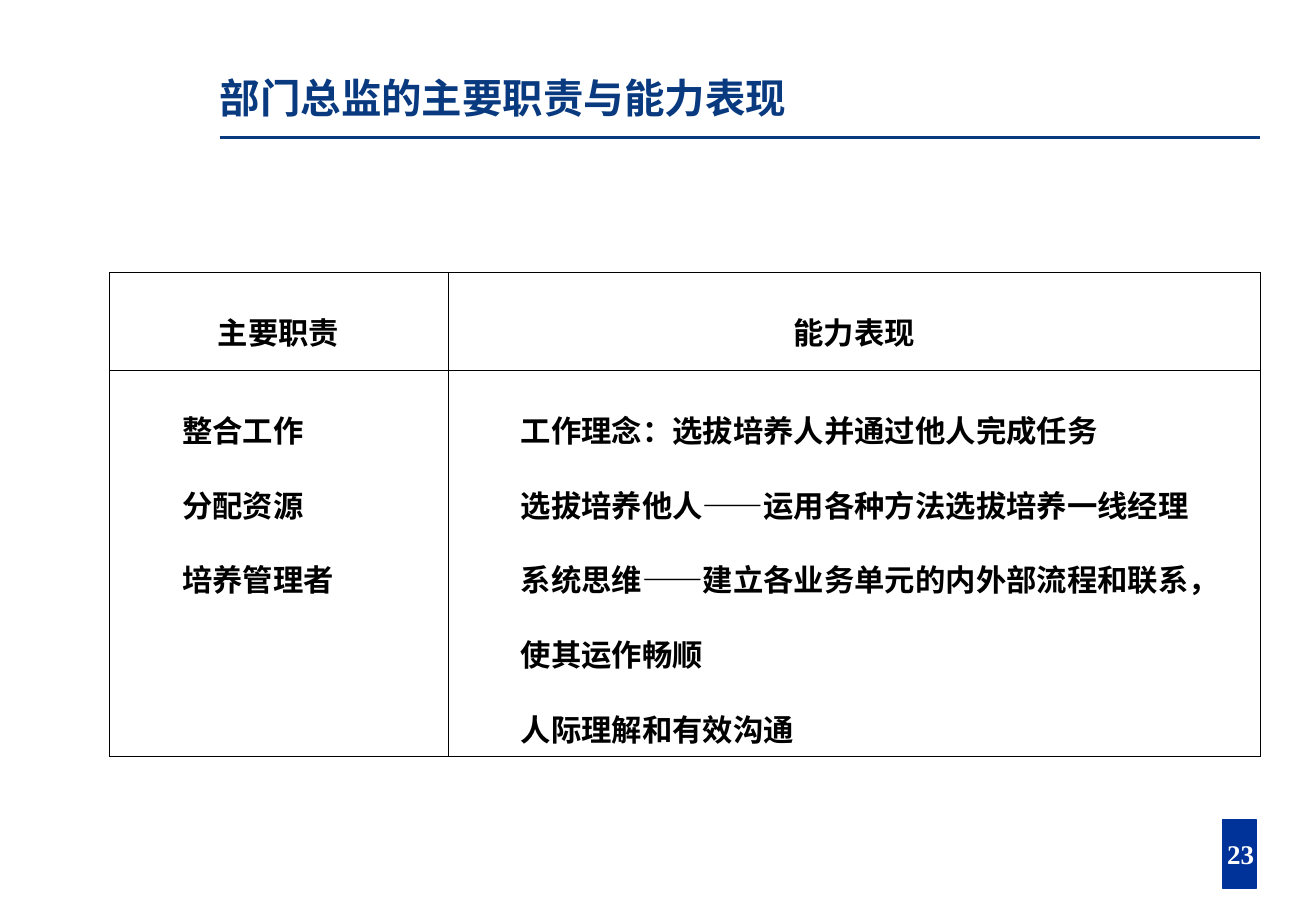
from lxml import etree
from pptx import Presentation, util as u
from pptx.dml.color import RGBColor
from pptx.enum import shapes, text
from pptx.oxml.ns import qn

COLORS = {"title": "093A80", "badge": "003399", "body": "000000", "page": "FFFFFF"}
CJK, LATIN = "Noto Sans CJK SC", "Times New Roman"
HEADINGS = ["主要职责", "能力表现"]
DUTIES = ["整合工作", "分配资源", "培养管理者"]
ABILITIES = [
    "工作理念：选拔培养人并通过他人完成任务",
    "选拔培养他人——运用各种方法选拔培养一线经理",
    "系统思维——建立各业务单元的内外部流程和联系，使其运作畅顺",
    "人际理解和有效沟通",
]


def color(name):
    """Return the named colour."""
    return RGBColor.from_string(COLORS[name])


def add_run(paragraph, words, size, tint, latin=LATIN):
    """Add one bold run with its Latin and East Asian fonts."""
    run = paragraph.add_run()
    run.text = words
    run.font.size, run.font.bold = u.Pt(size), True
    run.font.color.rgb = color(tint)
    run.font.name = latin
    etree.SubElement(run.font._element, qn("a:ea"), typeface=CJK)


def add_heading(slide, left, top, width, height):
    """Place the title and the rule below it."""
    frame = slide.shapes.add_textbox(*map(u.Inches, (left, top, width, height))).text_frame
    frame.word_wrap = True
    frame.vertical_anchor = text.MSO_ANCHOR.BOTTOM
    frame.margin_left = frame.margin_right = frame.margin_top = frame.margin_bottom = 0
    paragraph = frame.paragraphs[0]
    paragraph.line_spacing = 0.8
    add_run(paragraph, "部门总监的主要职责与能力表现", 24, "title", latin=CJK)
    rule_y = u.Inches(top + height + 0.13)
    rule = slide.shapes.add_connector(
        shapes.MSO_CONNECTOR.STRAIGHT, u.Inches(left), rule_y, u.Inches(left + width), rule_y)
    rule.line.color.rgb, rule.line.width = color("title"), u.Pt(2)
    etree.SubElement(rule._element.spPr, qn("a:effectLst"))


def style_cell(cell):
    """Give a cell thin black borders and no fill."""
    properties = cell._tc.get_or_add_tcPr()
    for side in ("lnL", "lnR", "lnT", "lnB"):
        border = etree.SubElement(properties, qn(f"a:{side}"), w=str(u.Pt(0.45)))
        fill = etree.SubElement(border, qn("a:solidFill"))
        etree.SubElement(fill, qn("a:srgbClr"), val=COLORS["body"])
    cell.fill.background()


def add_duty_table(slide, left, top, width, height):
    """Place the table of duties and abilities."""
    table = slide.shapes.add_table(2, 2, *map(u.Inches, (left, top, width, height))).table
    table.first_row = table.horz_banding = False
    duty_width, heading_height = 2.79, 0.81
    for column, size in zip(table.columns, (duty_width, width - duty_width)):
        column.width = u.Inches(size)
    for row, size in zip(table.rows, (heading_height, height - heading_height)):
        row.height = u.Inches(size)
    for col, (heading, entries) in enumerate(zip(HEADINGS, (DUTIES, ABILITIES))):
        for row, lines in enumerate(([heading], entries)):
            cell = table.cell(row, col)
            style_cell(cell)
            for index, words in enumerate(lines):
                frame = cell.text_frame
                paragraph = frame.add_paragraph() if index else frame.paragraphs[0]
                paragraph.line_spacing = 1.7
                if row == 0:
                    paragraph.alignment = text.PP_ALIGN.CENTER
                else:
                    paragraph.level = 1
                    indent = paragraph._p.get_or_add_pPr()
                    indent.set("marL", str(u.Inches(0.5)))
                    indent.set("indent", "0")
                add_run(paragraph, words, 18, "body")


def add_page_badge(slide, left, top, width, height):
    """Place the page number on its blue badge."""
    badge = slide.shapes.add_shape(
        shapes.MSO_SHAPE.RECTANGLE, *map(u.Inches, (left, top, width, height)))
    badge.shadow.inherit = False
    badge.fill.solid()
    badge.fill.fore_color.rgb = badge.line.color.rgb = color("badge")
    badge.line.width = u.Pt(1)
    number = slide.shapes.add_textbox(
        *map(u.Inches, (left - 0.45, top + 0.1, 1.2, 0.37))).text_frame
    number.word_wrap = False
    number.auto_size = text.MSO_AUTO_SIZE.SHAPE_TO_FIT_TEXT
    number.paragraphs[0].alignment = text.PP_ALIGN.CENTER
    add_run(number.paragraphs[0], "23", 16, "page")


def main():
    """Build and save the slide."""
    deck = Presentation()
    deck.slide_width, deck.slide_height = u.Inches(10.84), u.Inches(7.5)
    slide = deck.slides.add_slide(deck.slide_layouts[6])
    add_page_badge(slide, 10.07, 6.75, 0.28, 0.56)
    add_heading(slide, 1.81, 0.25, 8.57, 0.75)
    add_duty_table(slide, 0.9, 2.24, 9.48, 3.99)
    deck.save("out.pptx")


if __name__ == "__main__":
    main()
